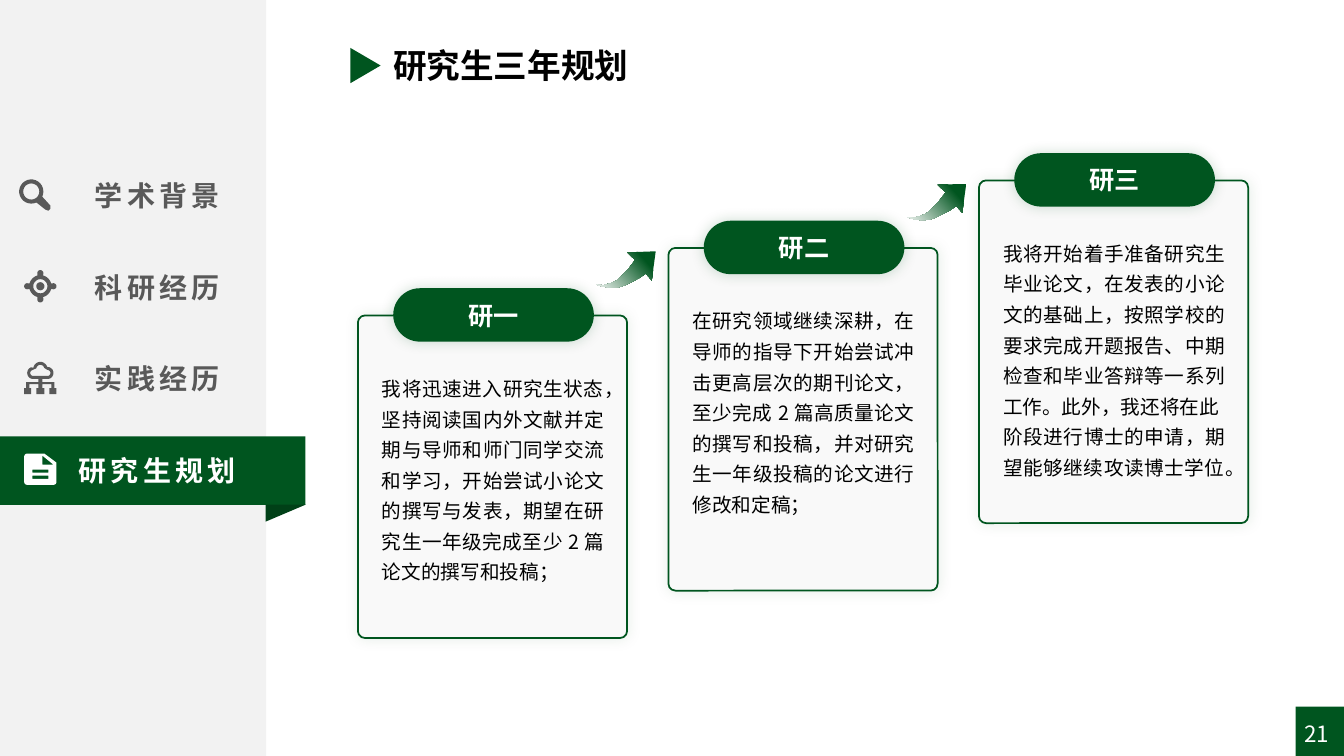
import math

from lxml import etree
from pptx import Presentation
from pptx import util as u
from pptx.dml.color import RGBColor
from pptx.enum import shapes, text
from pptx.oxml import ns

GREEN = RGBColor(0x00, 0x55, 0x1F)
DARK_GREEN = RGBColor(0x00, 0x40, 0x17)
GREY = RGBColor(0x59, 0x59, 0x59)
SIDEBAR_GREY = RGBColor(0xF2, 0xF2, 0xF2)
CARD_GREY = RGBColor(0xF9, 0xF9, 0xF9)
WHITE = RGBColor(0xFF, 0xFF, 0xFF)
BLACK = RGBColor(0x00, 0x00, 0x00)

SHAPE = shapes.MSO_SHAPE
ALIGN = text.PP_ALIGN
MIDDLE = text.MSO_ANCHOR.MIDDLE


# Outline helpers: lists of points in inches
def arc(x, y, radius, start=0, end=360):
    steps = 24
    angles = [math.radians(start + (end - start) * i / steps) for i in range(steps + 1)]
    return [(x + radius * math.cos(a), y + radius * math.sin(a)) for a in angles]


def box(left, top, width, height):
    right, bottom = left + width, top + height
    return [(left, top), (right, top), (right, bottom), (left, bottom)]


def magnifier_icon():
    handle = [(0.5, 2.04), (0.5, 2.07), (0.48, 2.09), (0.45, 2.08)]
    return [arc(0.31, 1.9, 0.12, 65, 385) + handle, arc(0.31, 1.9, 0.08)]


def target_icon():
    x, y = 0.4, 2.84
    rim = []
    for turn in range(0, 360, 90):
        angle = math.radians(turn)
        rim += arc(x + 0.13 * math.cos(angle), y + 0.13 * math.sin(angle),
                   0.03, turn - 90, turn + 90)
        rim += arc(x, y, 0.11, turn + 15, turn + 75)
    return [rim, arc(x, y, 0.07), arc(x, y, 0.04)]


def cloud_icon():
    def cloud(inset):
        return (arc(0.33, 3.7, 0.06 - inset, 90, 250)
                + arc(0.4, 3.66, 0.07 - inset, 190, 345)
                + arc(0.47, 3.7, 0.06 - inset, 270, 450))

    right_branch = [(0.42, 3.76), (0.42, 3.79), (0.54, 3.79), (0.54, 3.85),
                    (0.56, 3.85), (0.56, 3.91), (0.49, 3.91), (0.49, 3.85),
                    (0.51, 3.85), (0.51, 3.81), (0.42, 3.81), (0.42, 3.85),
                    (0.44, 3.85), (0.44, 3.91)]
    left_branch = [(0.8 - x, y) for x, y in reversed(right_branch)]
    return [cloud(0) + right_branch + left_branch, cloud(0.03)]


def document_icon():
    page = ([(0.44, 4.5), (0.56, 4.59)] + arc(0.53, 4.78, 0.03, 0, 90)
            + arc(0.27, 4.78, 0.03, 90, 180) + arc(0.27, 4.53, 0.03, 180, 270))
    fold = [(0.42, 4.52), (0.53, 4.61), (0.42, 4.61)]
    return [page, fold] + [box(0.32, top, 0.16, 0.03) for top in (4.66, 4.72)]


# Curved arrow pointing right, around its centre
ARROW = [(0.12, -0.08), (0.02, -0.06), (-0.08, -0.05), (-0.16, -0.05),
         (-0.22, -0.07), (-0.28, -0.1), (-0.33, -0.15), (-0.3, -0.1),
         (-0.25, -0.04), (-0.19, 0.01), (-0.12, 0.04), (-0.05, 0.06),
         (0.03, 0.08), (0.11, 0.09), (0.11, 0.18), (0.33, -0.01), (0.11, -0.19)]


class SlideBuilder:
    font_name = "Noto Sans CJK SC"

    def __init__(self, presentation):
        self.slide = presentation.slides.add_slide(presentation.slide_layouts[6])

    def shape(self, kind, left, top, width, height, fill, adjust=None, rotation=0):
        shape = self.slide.shapes.add_shape(
            kind, *(u.Inches(v) for v in (left, top, width, height)))
        shape.shadow.inherit = False
        shape.fill.solid()
        shape.fill.fore_color.rgb = fill
        shape.line.fill.background()
        shape.rotation = rotation
        if adjust is not None:
            shape.adjustments[0] = adjust
        return shape

    def glow(self, shape, opacity):
        effects = shape._element.spPr.find(ns.qn("a:effectLst"))
        shadow = etree.SubElement(effects, ns.qn("a:outerShdw"),
                                  blurRad=str(u.Pt(10)), dist="0", dir="0",
                                  algn="ctr", rotWithShape="0")
        color = etree.SubElement(shadow, ns.qn("a:srgbClr"), val=str(GREEN))
        etree.SubElement(color, ns.qn("a:alpha"), val=str(opacity * 1000))

    def set_words(self, shape, words, size, color, align, bold=False, tracking=0, spacing=None):
        shape.text_frame.text = words
        for paragraph in shape.text_frame.paragraphs:
            paragraph.alignment = align
            if spacing:
                paragraph.line_spacing = spacing
            for run in paragraph.runs:
                run.font.size = u.Pt(size)
                run.font.bold = bold
                run.font.color.rgb = color
                run.font.name = self.font_name
                properties = run.font._element
                etree.SubElement(properties, ns.qn("a:ea"), typeface=self.font_name)
                if tracking:
                    properties.set("spc", str(tracking * 100))

    def label(self, left, top, width, height, words, size, color, align,
              wrap=False, grow=True, **style):
        label = self.slide.shapes.add_textbox(
            *(u.Inches(v) for v in (left, top, width, height)))
        self.set_words(label, words, size, color, align, **style)
        label.text_frame.word_wrap = wrap
        if grow:
            label.text_frame.auto_size = text.MSO_AUTO_SIZE.SHAPE_TO_FIT_TEXT
        return label

    def outline(self, contours, fill=None):
        scaled = [[(round(x * 1000), round(y * 1000)) for x, y in c] for c in contours]
        builder = self.slide.shapes.build_freeform(*scaled[0][0], scale=u.Inches(1) / 1000)
        for number, contour in enumerate(scaled):
            if number:
                builder.move_to(*contour[0])
            builder.add_line_segments(contour[1:], close=True)
        shape = builder.convert_to_shape()
        shape.shadow.inherit = False
        shape.line.fill.background()
        if fill is not None:
            shape.fill.solid()
            shape.fill.fore_color.rgb = fill
        return shape

    def arrow(self, x, y):
        arrow = self.outline([[(x + dx, y + dy) for dx, dy in ARROW]])
        arrow.rotation = 318.6
        arrow.fill.gradient()
        arrow.fill.gradient_angle = 180
        for stop, position, color in zip(arrow.fill.gradient_stops, (0.31, 0.88), (GREEN, WHITE)):
            stop.position = position
            stop.color.rgb = color

    def card(self, left, top, height, title, body, body_height):
        card = self.shape(SHAPE.ROUNDED_RECTANGLE, left, top, 2.67, height, CARD_GREY, 0.026)
        card.line.color.rgb = GREEN
        card.line.width = u.Pt(1.25)
        self.glow(card, 10)
        pill = self.shape(SHAPE.ROUNDED_RECTANGLE, left + 0.35, top - 0.27, 1.99, 0.53, GREEN, 0.5)
        self.glow(pill, 20)
        self.set_words(pill, title, 18, WHITE, ALIGN.CENTER, bold=True)
        pill.text_frame.vertical_anchor = MIDDLE
        self.label(left + 0.14, top + 0.49, 2.4, body_height, body, 14, BLACK,
                   ALIGN.JUSTIFY, wrap=True, grow=False, spacing=1.3)


NAVIGATION = [("学术背景", magnifier_icon), ("科研经历", target_icon),
              ("实践经历", cloud_icon), ("研究生规划", document_icon)]

YEARS = [
    ("研一", 3.2, 2.6,
     "我将迅速进入研究生状态，坚持阅读国内外文献并定期与导师和师门同学交流和学习，"
     "开始尝试小论文的撰写与发表，期望在研究生一年级完成至少 2 篇论文的撰写和投稿；"),
    ("研二", 3.4, 2.69,
     "在研究领域继续深耕，在导师的指导下开始尝试冲击更高层次的期刊论文，"
     "至少完成 2 篇高质量论文的撰写和投稿，并对研究生一年级投稿的论文进行修改和定稿；"),
    ("研三", 3.4, 2.85,
     "我将开始着手准备研究生毕业论文，在发表的小论文的基础上，按照学校的要求完成"
     "开题报告、中期检查和毕业答辩等一系列工作。此外，我还将在此\n"
     "阶段进行博士的申请，期望能够继续攻读博士学位。"),
]


def main():
    presentation = Presentation()
    presentation.slide_width = u.Inches(13.33)
    presentation.slide_height = u.Inches(7.5)
    builder = SlideBuilder(presentation)

    # Sidebar and page number
    builder.shape(SHAPE.RECTANGLE, 0, 0, 2.64, 7.5, SIDEBAR_GREY)
    builder.shape(SHAPE.RECTANGLE, 12.85, 7.01, 0.49, 0.49, GREEN)
    number = builder.label(10.28, 7.08, 3, 0.4, "21", 16, WHITE, ALIGN.RIGHT,
                           wrap=True, grow=False)
    number.text_frame.vertical_anchor = MIDDLE

    # Navigation with the current section highlighted
    builder.shape(SHAPE.RECTANGLE, 0, 4.33, 3.03, 0.68, GREEN)
    for row, (name, icon) in enumerate(NAVIGATION):
        current = row == len(NAVIGATION) - 1
        left, width, color = (0.66, 1.8, WHITE) if current else (0.82, 1.48, GREY)
        builder.label(left, 1.72 + 0.91 * row, width, 0.44, name, 20, color,
                      ALIGN.CENTER, bold=True, tracking=3)
        builder.outline(icon(), color)
    fold = builder.shape(SHAPE.ISOSCELES_TRIANGLE, 2.75, 4.89, 0.17, 0.4, DARK_GREEN, 1, 90)
    fold._element.spPr.xfrm.set("flipH", "1")

    # Title
    builder.shape(SHAPE.ISOSCELES_TRIANGLE, 3.45, 0.5, 0.35, 0.3, GREEN, rotation=90)
    builder.label(3.8, 0.4, 2.53, 0.5, "研究生三年规划", 24, BLACK, ALIGN.LEFT, bold=True)

    # Rising cards and the arrows between them
    step_x, step_y = 3.08, -0.67
    for year, (title, height, body_height, body) in enumerate(YEARS):
        builder.card(3.55 + step_x * year, 3.13 + step_y * year, height, title, body, body_height)
    for gap in range(len(YEARS) - 1):
        builder.arrow(6.26 + step_x * gap, 2.72 + step_y * gap)

    presentation.save("out.pptx")


if __name__ == "__main__":
    main()
